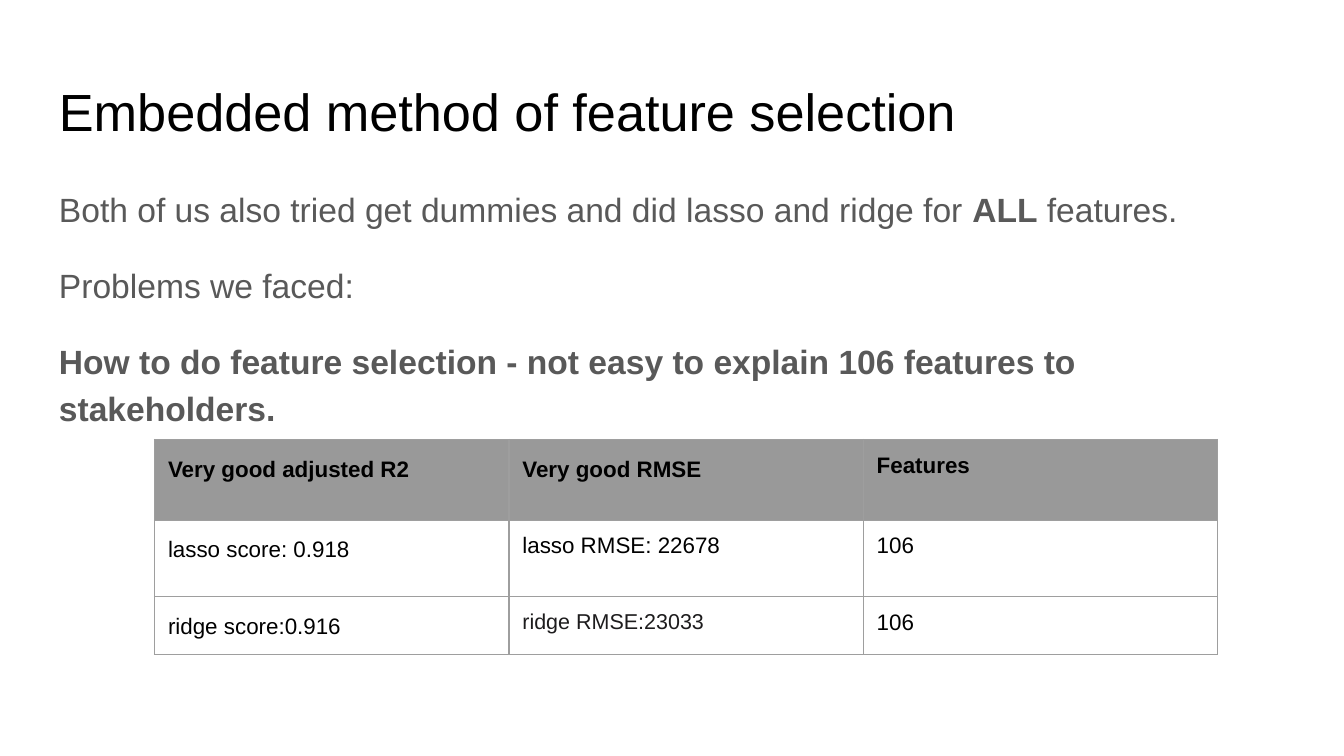
from pptx import Presentation
from pptx.dml.color import RGBColor
from pptx.enum import text
from pptx.oxml import parse_xml
from pptx.oxml.ns import nsdecls
from pptx.util import Inches, Pt

BLACK = RGBColor(0x00, 0x00, 0x00)
BODY_GREY = RGBColor(0x59, 0x59, 0x59)
INK = RGBColor(0x1D, 0x1C, 0x1D)
HEADER_GREY = RGBColor(0x99, 0x99, 0x99)
BORDER_GREY = RGBColor(0x9E, 0x9E, 0x9E)
FONT = "Arial"
MARGIN = Inches(0.1)

STATEMENTS = [
    [("Both of us also tried get dummies and did lasso and ridge for ", False),
     ("ALL", True), (" features.", False)],
    [("Problems we faced:", False)],
    [("How to do feature selection - not easy to explain 106 features to "
      "stakeholders.", True)],
]
SCORES = [
    ["Very good adjusted R2", "Very good RMSE", "Features"],
    ["lasso score: 0.918", "lasso RMSE: 22678", "106"],
    ["ridge score:0.916", "ridge RMSE:23033", "106"],
]
ROW_HEIGHTS = [0.6, 0.57, 0.42]
LOOSE_CELLS = {(0, 0), (0, 1), (1, 0), (2, 0)}


def style(span, size, color, bold=False):
    span.font.name = FONT
    span.font.size = Pt(size)
    span.font.color.rgb = color
    span.font.bold = bold


def add_text_frame(page, left, top, width, height):
    box = page.shapes.add_textbox(*map(Inches, (left, top, width, height)))
    frame = box.text_frame
    frame.word_wrap = True
    frame.vertical_anchor = text.MSO_ANCHOR.TOP
    frame.margin_left = frame.margin_right = MARGIN
    frame.margin_top = frame.margin_bottom = MARGIN
    return frame


def add_title(page, left, top, width, height):
    frame = add_text_frame(page, left, top, width, height)
    frame.text = "Embedded method of feature selection"
    style(frame.paragraphs[0].runs[0], 28, BLACK)


def add_statements(page, left, top, width, height):
    frame = add_text_frame(page, left, top, width, height)
    for index, parts in enumerate(STATEMENTS):
        para = frame.add_paragraph() if index else frame.paragraphs[0]
        para.line_spacing = 1.15
        para.space_before = Pt(16 if index else 0)
        for words, bold in parts:
            span = para.add_run()
            span.text = words
            style(span, 18, BODY_GREY, bold)


def add_borders(cell):
    properties = cell._tc.get_or_add_tcPr()
    for position, side in enumerate(("lnL", "lnR", "lnT", "lnB")):
        properties.insert(position, parse_xml(
            f'<a:{side} {nsdecls("a")} w="{Pt(0.75)}"><a:solidFill>'
            f'<a:srgbClr val="{BORDER_GREY}"/></a:solidFill></a:{side}>'))


def add_score_table(page, left, top, width):
    rows, columns = len(SCORES), len(SCORES[0])
    table = page.shapes.add_table(
        rows, columns, Inches(left), Inches(top), Inches(width),
        Inches(sum(ROW_HEIGHTS))).table
    table.horz_banding = False
    for row, height in zip(table.rows, ROW_HEIGHTS):
        row.height = Inches(height)
    for r, values in enumerate(SCORES):
        for c, value in enumerate(values):
            cell = table.cell(r, c)
            cell.text = value
            cell.margin_left = cell.margin_right = MARGIN
            cell.margin_top = cell.margin_bottom = MARGIN
            if r == 0:
                cell.fill.solid()
                cell.fill.fore_color.rgb = HEADER_GREY
            else:
                cell.fill.background()
            add_borders(cell)
            para = cell.text_frame.paragraphs[0]
            para.line_spacing = 1.15 if (r, c) in LOOSE_CELLS else 1.0
            ridge_rmse = (r, c) == (2, 1)
            style(para.runs[0], 11.5 if ridge_rmse else 12,
                  INK if ridge_rmse else BLACK, bold=r == 0)


def main():
    deck = Presentation()
    deck.slide_width = Inches(10)
    deck.slide_height = deck.slide_width * 9 // 16
    page = deck.slides.add_slide(deck.slide_layouts[6])
    add_title(page, 0.34, 0.49, 9.32, 0.63)
    add_statements(page, 0.34, 1.26, 9.32, 3.74)
    add_score_table(page, 1.15, 3.27, 7.91)
    deck.save("out.pptx")


if __name__ == "__main__":
    main()
